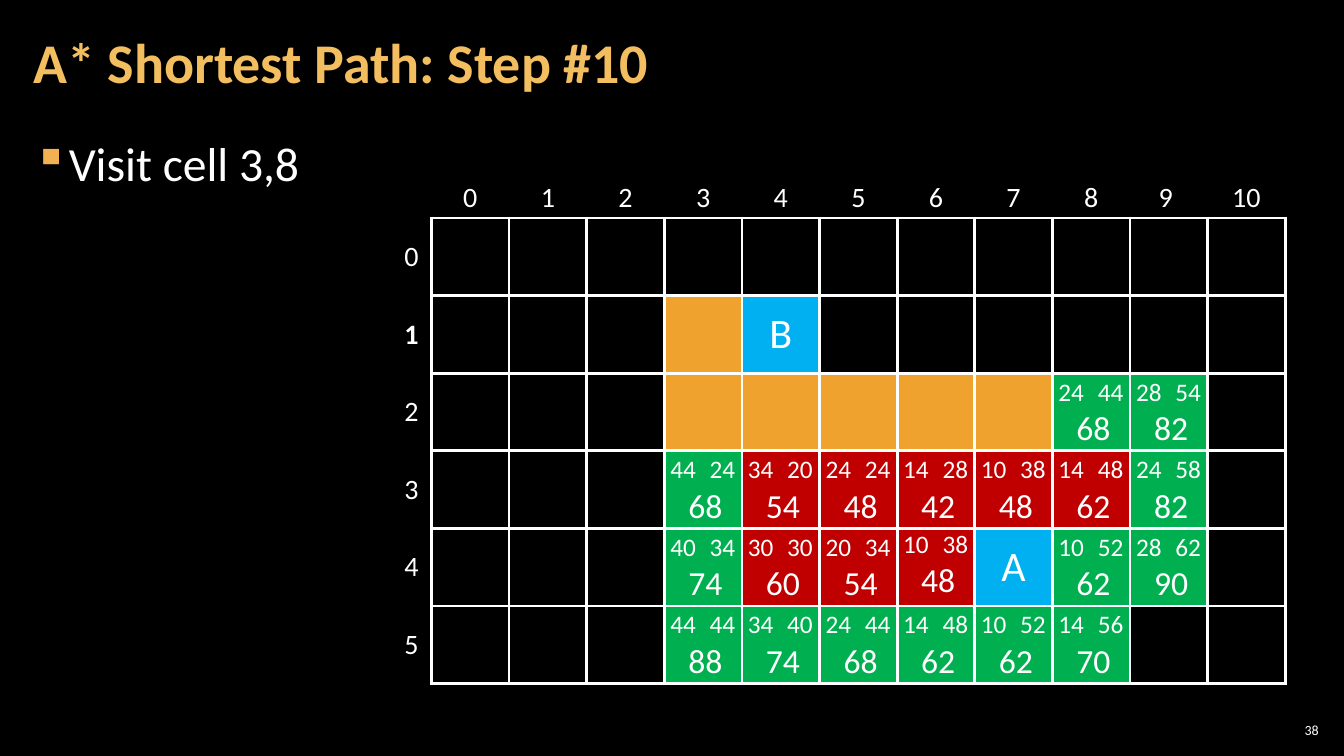
from lxml.etree import SubElement
from pptx import Presentation
from pptx.dml.color import RGBColor
from pptx.enum.text import MSO_ANCHOR, MSO_AUTO_SIZE, PP_ALIGN
from pptx.oxml.ns import qn
from pptx.util import Inches, Pt

WHITE = "FFFFFF"
COLUMNS, ROWS = 11, 6
LABEL, CELL = 0.4, 0.77
GRID_LEFT, GRID_TOP = 3.88, 1.75

MAP = [
    "...........",
    "...WB......",
    "...WWWWWOO.",
    "...OVVVVVO.",
    "...OVVVAOO.",
    "...OOOOOO..",
]
FILLS = {"W": "F0A22E", "A": "00B0F0", "B": "00B0F0", "O": "00B050", "V": "C00000"}
COSTS = {
    2: (8, [(24, 44), (28, 54)]),
    3: (3, [(44, 24), (34, 20), (24, 24), (14, 28), (10, 38), (14, 48), (24, 58)]),
    4: (3, [(40, 34), (30, 30), (20, 34), (10, 38), None, (10, 52), (28, 62)]),
    5: (3, [(44, 44), (34, 40), (24, 44), (14, 48), (10, 52), (14, 56)]),
}
NUDGES = {(4, 6): -0.03}


def color(value):
    return RGBColor.from_string(value)


class GridSlide:
    font = "Calibri"

    def __init__(self, presentation):
        self.slide = presentation.slides.add_slide(presentation.slide_layouts[6])
        self.slide.background.fill.solid()
        self.slide.background.fill.fore_color.rgb = color("000000")

    def style(self, paragraph, size, ink=WHITE, bold=False):
        paragraph.font.name = self.font
        paragraph.font.size = Pt(size)
        paragraph.font.bold = bold
        paragraph.font.color.rgb = color(ink)

    def text(self, words, box, size, ink=WHITE, bold=False, align=PP_ALIGN.LEFT,
             anchor=MSO_ANCHOR.TOP, insets=(0.12, 0.04), spacing=None,
             bullet=None, grow=False, group=None):
        shapes = group.shapes if group else self.slide.shapes
        frame = shapes.add_textbox(*map(Inches, box)).text_frame
        frame.word_wrap = True
        frame.vertical_anchor = anchor
        frame.margin_left = frame.margin_right = Inches(insets[0])
        frame.margin_top = frame.margin_bottom = Inches(insets[1])
        if grow:
            frame.auto_size = MSO_AUTO_SIZE.SHAPE_TO_FIT_TEXT
        paragraph = frame.paragraphs[0]
        paragraph.text = words
        paragraph.alignment = align
        if spacing:
            paragraph.line_spacing = spacing
        if bullet:
            self.bullet(paragraph, bullet)
        self.style(paragraph, size, ink, bold)

    def bullet(self, paragraph, ink):
        paragraph.space_after = Pt(6)
        properties = paragraph._p.get_or_add_pPr()
        properties.set("marL", str(Inches(0.33)))
        properties.set("indent", str(-Inches(0.33)))
        SubElement(SubElement(properties, qn("a:buClr")), qn("a:srgbClr"), val=ink)
        SubElement(properties, qn("a:buChar"), char="▪")

    def cell(self, cell, words="", size=20, bold=False, fill=None, borders="LRTB"):
        cell.margin_left = cell.margin_right = Inches(0.08)
        cell.margin_top = cell.margin_bottom = Inches(0.04)
        cell.vertical_anchor = MSO_ANCHOR.MIDDLE
        properties = cell._tc.get_or_add_tcPr()
        for side in "LRTB":
            line = SubElement(properties, qn(f"a:ln{side}"), w=str(Pt(2.25)))
            if side in borders:
                SubElement(SubElement(line, qn("a:solidFill")), qn("a:srgbClr"), val=WHITE)
            else:
                SubElement(line, qn("a:noFill"))
        if fill:
            cell.fill.solid()
            cell.fill.fore_color.rgb = color(fill)
        else:
            cell.fill.background()
        if words:
            paragraph = cell.text_frame.paragraphs[0]
            paragraph.text = words
            paragraph.alignment = PP_ALIGN.CENTER
            self.style(paragraph, size, bold=bold)

    def grid(self):
        table = self.slide.shapes.add_table(
            ROWS + 1, COLUMNS + 1, Inches(GRID_LEFT), Inches(GRID_TOP),
            Inches(LABEL + COLUMNS * CELL), Inches(LABEL + ROWS * CELL)).table
        table.first_row = table.horz_banding = False
        for index, column in enumerate(table.columns):
            column.width = Inches(CELL if index else LABEL)
        for index, row in enumerate(table.rows):
            row.height = Inches(CELL if index else LABEL)
        self.cell(table.cell(0, 0), borders="")
        for column in range(COLUMNS):
            heading = "9 " if column == 9 else str(column)
            self.cell(table.cell(0, column + 1), heading, borders="B")
        for row, marks in enumerate(MAP):
            self.cell(table.cell(row + 1, 0), str(row), bold=row == 1, borders="R")
            for column, mark in enumerate(marks):
                self.cell(table.cell(row + 1, column + 1), mark if mark in "AB" else "",
                          size=30, fill=FILLS.get(mark))

    def costs(self, row, column, start_cost, goal_cost):
        left = GRID_LEFT + LABEL + column * CELL - 0.04
        top = GRID_TOP + LABEL + row * CELL - 0.01 + NUDGES.get((row, column), 0)
        group = self.slide.shapes.add_group_shape()
        common = dict(insets=(0.1, 0.05), grow=True, group=group)
        self.text(str(start_cost + goal_cost), (left + 0.07, top + 0.31, 0.75, 0.5), 24,
                  align=PP_ALIGN.CENTER, **common)
        for offset, cost in ((0, start_cost), (0.39, goal_cost)):
            self.text(str(cost), (left + offset, top, 0.5, 0.4), 18, **common)


def main():
    presentation = Presentation()
    presentation.slide_width = Inches(13.33)
    presentation.slide_height = Inches(7.5)
    step = GridSlide(presentation)
    step.text("38", (12.65, 7.14, 0.47, 0.21), 10, align=PP_ALIGN.RIGHT,
              anchor=MSO_ANCHOR.MIDDLE, insets=(0.04, 0.04))
    step.text("Visit cell 3,8", (0.21, 1.26, 12.91, 6.09), 34, spacing=1.05, bullet="F2B254")
    step.text("A* Shortest Path: Step #10", (0.21, 0.04, 10.47, 1.21), 40, "F3BE60",
              bold=True, anchor=MSO_ANCHOR.MIDDLE, spacing=0.9)
    step.grid()
    for row, (first_column, pairs) in COSTS.items():
        for column, pair in enumerate(pairs, first_column):
            if pair:
                step.costs(row, column, *pair)
    presentation.save("out.pptx")


if __name__ == "__main__":
    main()
